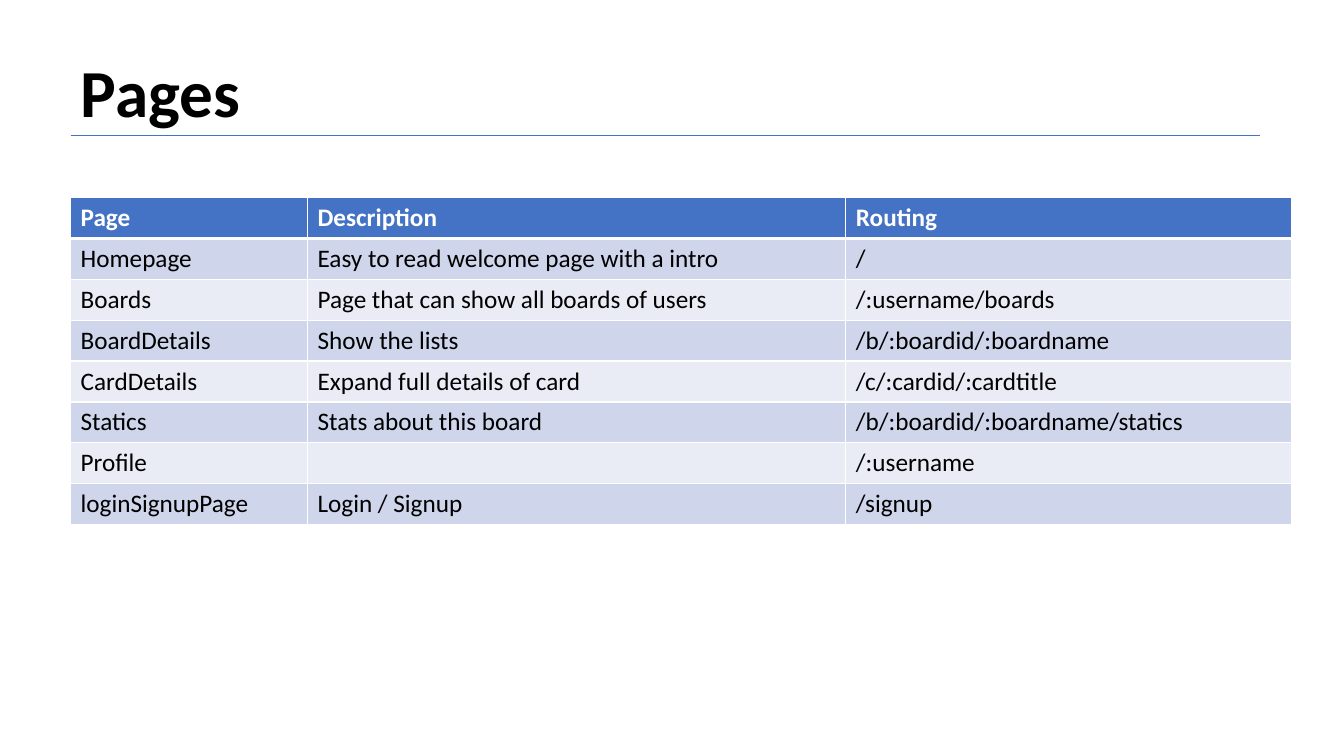
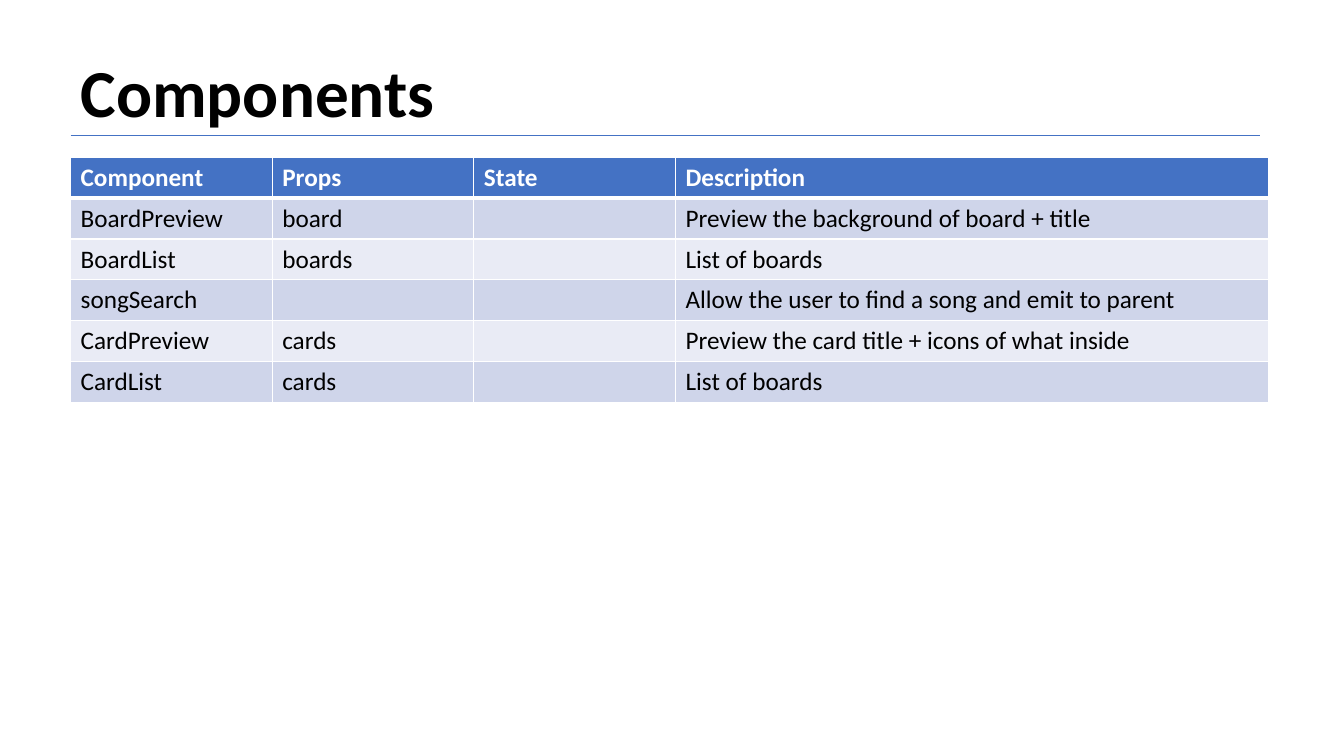
from dataclasses import dataclass

from lxml.etree import SubElement
from pptx import Presentation
from pptx.dml.color import RGBColor
from pptx.enum.shapes import MSO_CONNECTOR
from pptx.enum.text import MSO_ANCHOR, PP_ALIGN
from pptx.oxml.ns import qn
from pptx.util import Inches, Pt


@dataclass(frozen=True)
class Theme:
    font: str = "Calibri"
    accent: str = "4472C4"
    ink: str = "000000"
    paper: str = "FFFFFF"
    bands: tuple = ("CFD5EA", "E9EBF5")
    title_size: int = 48
    table_size: int = 18
    rule_width: float = 0.5
    border_width: int = 1
    header_border_width: int = 3


THEME = Theme()
TITLE_ONLY = 5
LEFT = 0.7
ROW_HEIGHT = 0.405
TITLE_BOX = (LEFT, 0.45, 11.8, 0.91)
RULE_TOP = 1.34

PAGES = [
    ("Page", "Description", "Routing"),
    ("Homepage", "Easy to read welcome page with a intro", "/"),
    ("Boards", "Page that can show all boards of users", "/:username/boards"),
    ("BoardDetails", "Show the lists", "/b/:boardid/:boardname"),
    ("CardDetails", "Expand full details of card", "/c/:cardid/:cardtitle"),
    ("Statics", "Stats about this board", "/b/:boardid/:boardname/statics"),
    ("Profile", "", "/:username"),
    ("loginSignupPage", "Login / Signup", "/signup"),
]

COMPONENTS = [
    ("Component", "Props", "State", "Description"),
    ("BoardPreview", "board", "", "Preview the background of board + title"),
    ("BoardList", "boards", "", "List of boards"),
    ("songSearch", "", "", "Allow the user to find a song and emit to parent"),
    ("CardPreview", "cards", "", "Preview the card title + icons of what inside"),
    ("CardList", "cards", "", "List of boards"),
]


def style_font(font, size, color, bold):
    font.name = THEME.font
    font.size = Pt(size)
    font.bold = bold
    font.color.rgb = RGBColor.from_string(color)


def add_title(page, text, box):
    left, top, width, height = box
    title = page.shapes.title
    title.left, title.top = Inches(left), Inches(top)
    title.width, title.height = Inches(width), Inches(height)
    frame = title.text_frame
    frame.text = text
    frame.word_wrap = True
    frame.vertical_anchor = MSO_ANCHOR.TOP
    para = frame.paragraphs[0]
    para.alignment = PP_ALIGN.LEFT
    style_font(para.font, THEME.title_size, THEME.ink, True)


def add_rule(page, left, top, width):
    rule = page.shapes.add_connector(
        MSO_CONNECTOR.STRAIGHT,
        Inches(left), Inches(top), Inches(left + width), Inches(top),
    )
    rule.line.color.rgb = RGBColor.from_string(THEME.accent)
    rule.line.width = Pt(THEME.rule_width)
    SubElement(rule._element.spPr, qn("a:effectLst"))


def add_borders(cell, row_index):
    properties = cell._tc.get_or_add_tcPr()
    heavy_edge = {0: "lnB", 1: "lnT"}.get(row_index)
    for edge in ("lnL", "lnR", "lnT", "lnB"):
        width = THEME.header_border_width if edge == heavy_edge else THEME.border_width
        line = SubElement(properties, qn(f"a:{edge}"), w=str(Pt(width)))
        fill = SubElement(line, qn("a:solidFill"))
        SubElement(fill, qn("a:srgbClr"), val=THEME.paper)


def fill_cell(cell, text, row_index):
    header = row_index == 0
    add_borders(cell, row_index)
    cell.fill.solid()
    band = THEME.bands[(row_index - 1) % len(THEME.bands)]
    cell.fill.fore_color.rgb = RGBColor.from_string(THEME.accent if header else band)
    cell.text = text
    color = THEME.paper if header else THEME.ink
    style_font(cell.text_frame.paragraphs[0].font, THEME.table_size, color, header)


def add_grid(page, rows, left, top, column_widths):
    table = page.shapes.add_table(
        len(rows), len(column_widths), Inches(left), Inches(top),
        Inches(sum(column_widths)), Inches(ROW_HEIGHT * len(rows)),
    ).table
    for column, width in zip(table.columns, column_widths):
        column.width = Inches(width)
    for row_index, texts in enumerate(rows):
        table.rows[row_index].height = Inches(ROW_HEIGHT)
        for column_index, text in enumerate(texts):
            fill_cell(table.cell(row_index, column_index), text, row_index)


def add_table_page(deck, title, rows, top, column_widths):
    page = deck.slides.add_slide(deck.slide_layouts[TITLE_ONLY])
    add_title(page, title, TITLE_BOX)
    add_rule(page, LEFT, RULE_TOP, TITLE_BOX[2])
    add_grid(page, rows, LEFT, top, column_widths)


def main():
    deck = Presentation()
    deck.slide_width, deck.slide_height = Inches(13.33), Inches(7.5)
    add_table_page(deck, "Pages", PAGES, 1.96, (2.35, 5.34, 4.42))
    add_table_page(deck, "Components", COMPONENTS, 1.56, (2, 2, 2, 5.88))
    deck.save("out.pptx")


if __name__ == "__main__":
    main()
